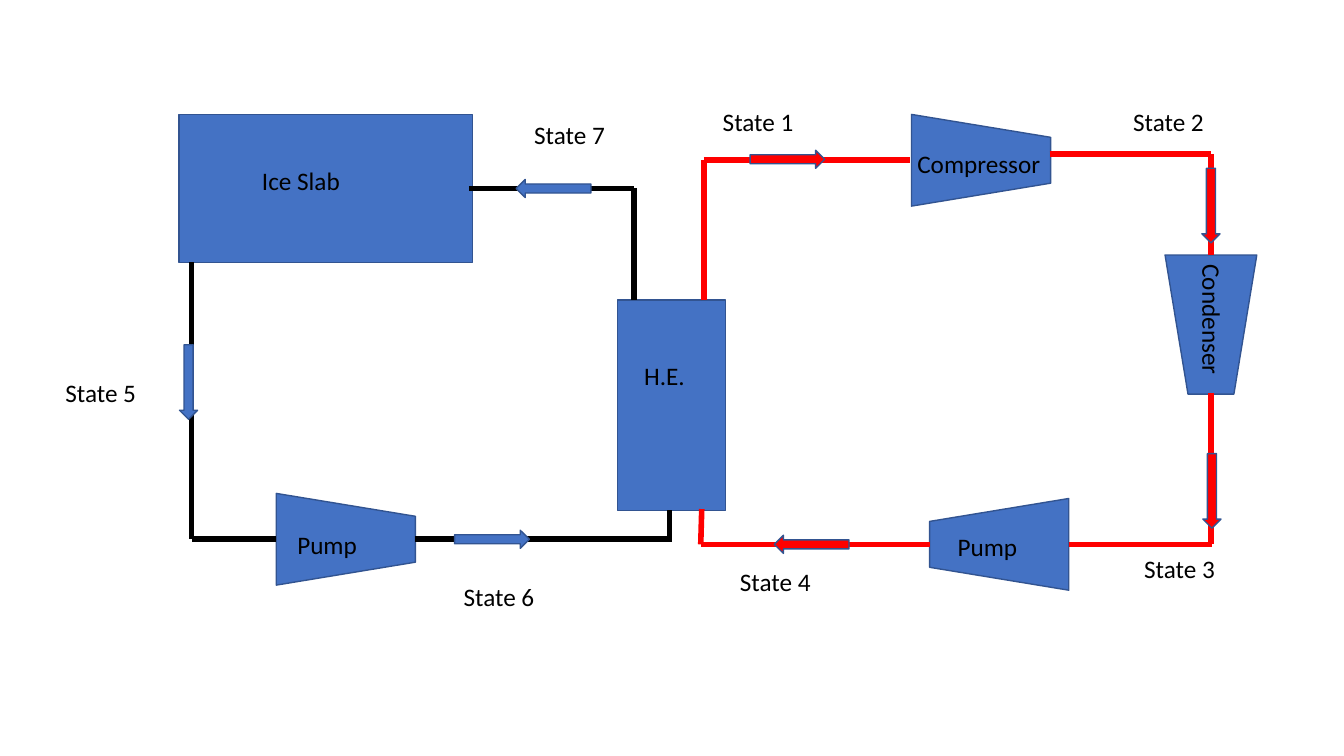
"""Builds a slide with the flow diagram of an ice slab refrigeration system."""
from itertools import pairwise

from lxml.etree import SubElement
from pptx import Presentation
from pptx.dml.color import RGBColor
from pptx.enum.shapes import MSO_CONNECTOR as Connector, MSO_SHAPE as Shape
from pptx.enum.text import MSO_AUTO_SIZE as AutoSize
from pptx.oxml.ns import qn
from pptx.util import Inches, Pt

BLUE = RGBColor(0x44, 0x72, 0xC4)
EDGE = RGBColor(0x32, 0x54, 0x91)
RED = RGBColor(0xFF, 0, 0)
BLACK = RGBColor(0, 0, 0)

RIGHT, DOWN, LEFT, UP = 0, 90, 180, 270
MACHINE_SIZE = (0.91, 1.38)
ARROW_SIZE = (0.74, 0.18)
LABEL_HEIGHT = 0.4
STATE_WIDTH = 0.97
FONT = {"name": "Calibri", "size": Pt(18)}

VESSELS = {"ice slab": (3.23, 1.87, 2.91, 1.47), "heat exchanger": (6.66, 4.02, 1.07, 2.09)}
MACHINES = {
    "slab pump": (3.43, 5.35, DOWN),
    "compressor": (9.73, 1.59, DOWN),
    "condenser": (12.01, 3.22, LEFT),
    "condenser pump": (9.91, 5.4, UP),
}
PIPES = [
    (BLACK, [(1.9, 2.6), (1.9, 5.35), (2.74, 5.35)]),
    (BLACK, [(4.12, 5.35), (6.67, 5.35)]),
    (BLACK, [(6.64, 5.35), (6.64, 5.06)]),
    (BLACK, [(4.65, 1.87), (6.29, 1.87), (6.29, 2.98)]),
    (RED, [(6.98, 2.98), (6.98, 1.59), (9.03, 1.59)]),
    (RED, [(10.41, 1.53), (12.01, 1.53), (12.01, 2.53)]),
    (RED, [(12.01, 3.9), (12.01, 5.4)]),
    (RED, [(12.02, 5.4), (10.6, 5.4)]),
    (RED, [(9.22, 5.4), (6.95, 5.4), (6.96, 5.05)]),
]
ARROWS = [
    (BLUE, 4.88, 5.35, RIGHT),
    (BLUE, 1.87, 3.79, DOWN),
    (BLUE, 5.49, 1.87, LEFT),
    (RED, 7.81, 1.58, RIGHT),
    (RED, 8.05, 5.4, LEFT),
    (RED, 12.02, 4.87, DOWN),
    (RED, 12.01, 2.04, DOWN),
]
PART_LABELS = [
    ("Ice Slab", 2.5, 1.59, 1.88, RIGHT),
    ("Pump", 2.85, 5.2, 0.95, RIGHT),
    ("H.E.", 6.29, 3.53, 0.66, RIGHT),
    ("Compressor", 9, 1.42, 1.6, RIGHT),
    ("Condenser", 11.21, 3.14, 1.63, DOWN),
    ("Pump", 9.4, 5.22, 1, RIGHT),
]
STATES = [(7.07, 1.01), (11.14, 1.01), (11.25, 5.44), (7.24, 5.57),
          (0.55, 3.69), (4.5, 5.72), (5.2, 1.13)]


def add_part(slide, kind, center_x, center_y, size, turn=RIGHT, fill=BLUE):
    width, height = size
    shape = slide.shapes.add_shape(
        kind, Inches(center_x - width / 2), Inches(center_y - height / 2),
        Inches(width), Inches(height))
    shape.rotation = turn
    shape.shadow.inherit = False
    shape.fill.solid()
    shape.fill.fore_color.rgb = fill
    shape.line.color.rgb = EDGE
    shape.line.width = Pt(1)


def add_pipe(slide, color, points):
    for start, end in pairwise(points):
        line = slide.shapes.add_connector(
            Connector.STRAIGHT, *(Inches(value) for value in start + end))
        line.line.color.rgb = color
        line.line.width = Pt(4)
        SubElement(line._element.spPr, qn("a:effectLst"))


def add_label(slide, text, left, top, width, turn=RIGHT):
    box = slide.shapes.add_textbox(
        *(Inches(value) for value in (left, top, width, LABEL_HEIGHT)))
    box.rotation = turn
    box.text_frame.word_wrap = True
    box.text_frame.auto_size = AutoSize.SHAPE_TO_FIT_TEXT
    run = box.text_frame.paragraphs[0].add_run()
    run.text = text
    for name, value in FONT.items():
        setattr(run.font, name, value)
    run.font.color.rgb = BLACK


presentation = Presentation()
presentation.slide_width, presentation.slide_height = Inches(13.33), Inches(7.5)
slide = presentation.slides.add_slide(presentation.slide_layouts[6])

for x, y, *size in VESSELS.values():
    add_part(slide, Shape.RECTANGLE, x, y, size)
for x, y, turn in MACHINES.values():
    add_part(slide, Shape.TRAPEZOID, x, y, MACHINE_SIZE, turn)
for color, points in PIPES:
    add_pipe(slide, color, points)
for label in PART_LABELS:
    add_label(slide, *label)
for color, x, y, turn in ARROWS:
    add_part(slide, Shape.RIGHT_ARROW, x, y, ARROW_SIZE, turn, color)
for number, (left, top) in enumerate(STATES, 1):
    add_label(slide, f"State {number}", left, top, STATE_WIDTH)

presentation.save("out.pptx")
